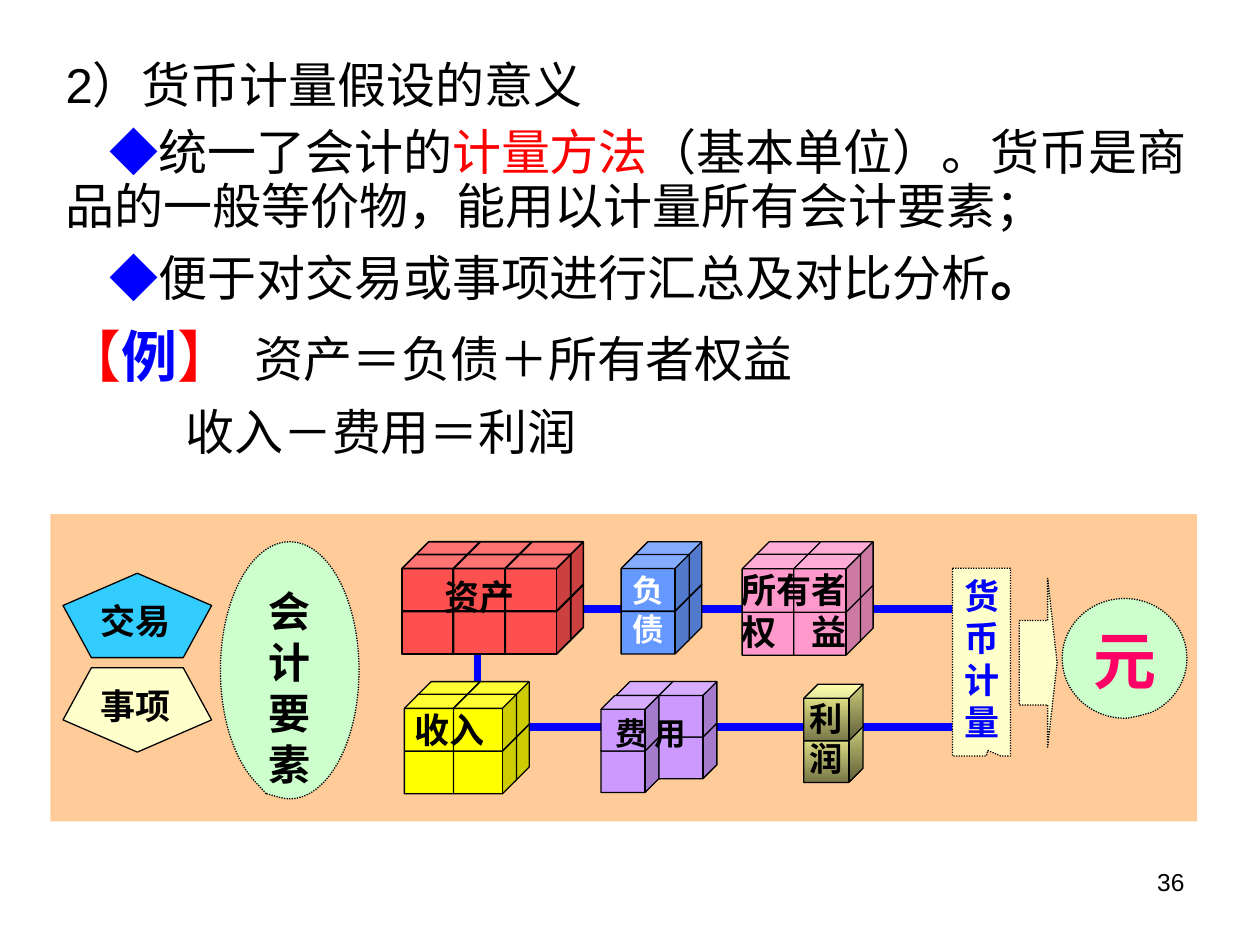
import pptx
import pptx.util
import pptx.dml.color
import pptx.enum.dml
import pptx.enum.shapes
import pptx.enum.text
import pptx.oxml.ns
import lxml.etree

Inches = pptx.util.Inches
Pt = pptx.util.Pt
RGBColor = pptx.dml.color.RGBColor
SHAPE = pptx.enum.shapes.MSO_SHAPE
ALIGN = pptx.enum.text.PP_ALIGN
qn = pptx.oxml.ns.qn

BLACK = RGBColor(0x00, 0x00, 0x00)
WHITE = RGBColor(0xFF, 0xFF, 0xFF)
BLUE = RGBColor(0x00, 0x00, 0xFF)
RED = RGBColor(0xFF, 0x00, 0x00)
MAGENTA = RGBColor(0xFF, 0x00, 0x66)
ORANGE = RGBColor(0xFF, 0xCC, 0x99)
CREAM = RGBColor(0xFF, 0xFF, 0xCC)
MINT = RGBColor(0xCC, 0xFF, 0xCC)
SKY = RGBColor(0x33, 0xCC, 0xFF)
CORAL = RGBColor(0xFF, 0x50, 0x50)
CORNFLOWER = RGBColor(0x66, 0x99, 0xFF)
PINK = RGBColor(0xFF, 0x99, 0xCC)
YELLOW = RGBColor(0xFF, 0xFF, 0x00)
PURPLE = RGBColor(0xCC, 0x99, 0xFF)
OLIVE = (RGBColor(0xFF, 0xFF, 0x99), RGBColor(0x76, 0x76, 0x47))


class SlideBuilder:
    """Holds the style and the current slide."""

    serif, sans, cjk = "Times New Roman", "Arial", "Noto Sans CJK SC"
    line_ratio = 1.2

    def __init__(self, slide):
        self.slide = slide

    def style_run(self, r, size, color, bold, font):
        r.font.size, r.font.bold, r.font.name = Pt(size), bold, font
        r.font.color.rgb = color
        lxml.etree.SubElement(r.font._element, qn("a:ea")).set("typeface", self.cjk)

    def frame(self, sp):
        tf = sp.text_frame
        tf.word_wrap = True
        tf.auto_size = pptx.enum.text.MSO_AUTO_SIZE.NONE
        tf.vertical_anchor = pptx.enum.text.MSO_ANCHOR.TOP
        return tf

    def fill_text(self, sp, text, size, color=BLACK, align=ALIGN.CENTER, bold=True, font=serif):
        tf = self.frame(sp)
        tf.text = text
        for p in tf.paragraphs:
            p.alignment = align
            p.line_spacing = Pt(round(size * self.line_ratio))
            for r in p.runs:
                self.style_run(r, size, color, bold, font)

    def body(self, sp, box, paragraphs):
        sp.left, sp.top, sp.width, sp.height = map(Inches, box)
        tf = self.frame(sp)
        for i, (before, pitch, indent, tab, runs) in enumerate(paragraphs):
            p = tf.paragraphs[0] if i == 0 else tf.add_paragraph()
            p.alignment = ALIGN.LEFT
            p.line_spacing, p.space_before = Pt(pitch), Pt(before)
            pPr = p._p.get_or_add_pPr()
            pPr.set("marL", "0")
            pPr.set("indent", str(Inches(indent)))
            lxml.etree.SubElement(pPr, qn("a:buNone"))
            if tab:
                tabs = lxml.etree.SubElement(pPr, qn("a:tabLst"))
                lxml.etree.SubElement(tabs, qn("a:tab"), pos=str(Inches(tab)), algn="l")
            for text, size, color, bold in runs:
                r = p.add_run()
                r.text = text
                self.style_run(r, size, color, bold, self.sans)

    def label(self, box, text, size, **style):
        self.fill_text(self.slide.shapes.add_textbox(*map(Inches, box)), text, size, **style)

    def shape(self, kind, box, fill, adj=(), line=0.75, dotted=False):
        sp = self.slide.shapes.add_shape(kind, *map(Inches, box))
        sp.shadow.inherit = False
        for i, value in enumerate(adj):
            sp.adjustments[i] = value
        if isinstance(fill, tuple) and len(fill) == 2:
            sp.fill.gradient()
            sp.fill.gradient_angle = 270
            for stop, color in zip(sp.fill.gradient_stops, fill):
                stop.color.rgb = color
        else:
            sp.fill.solid()
            sp.fill.fore_color.rgb = fill
        if line:
            sp.line.color.rgb, sp.line.width = BLACK, Pt(line)
        else:
            sp.line.fill.background()
        if dotted:
            sp.line.dash_style = pptx.enum.dml.MSO_LINE.ROUND_DOT
        return sp

    def cubes(self, x, y, w, h, fill, stacks, row=0.34, line=0.75):
        """Two cubes high at each (dx, dy), back stacks first."""
        for dx, dy in stacks:
            for rise in (row, 0):
                self.shape(SHAPE.CUBE, (x + dx, y + dy + rise, w, h), fill, (0.25,), line)

    def connector(self, x1, y1, x2, y2):
        ln = self.slide.shapes.add_connector(
            pptx.enum.shapes.MSO_CONNECTOR.STRAIGHT, *map(Inches, (x1, y1, x2, y2)))
        ln.line.color.rgb, ln.line.width = BLUE, Pt(4.5)
        lxml.etree.SubElement(ln._element.spPr, qn("a:effectLst"))


def columns(count, step):
    """A back and a front stack for each column."""
    return [(i * step + d, -d) for i in range(count) for d in (0.1, 0)]


def main():
    prs = pptx.Presentation()
    prs.slide_width, prs.slide_height = Inches(10), Inches(7.5)
    s = prs.slides.add_slide(prs.slide_layouts[0])
    title = s.shapes.title._element
    title.getparent().remove(title)
    b = SlideBuilder(s)

    # Body text: space before, line pitch, first-line indent, tab stop, runs
    diamond = ("◆", 28, BLUE, False)
    b.body(s.placeholders[1], (0.42, 0.42, 9.42, 2.26), [
        (0, 31, 0, None, [("2）货币计量假设的意义", 28, BLACK, False)]),
        (7, 31, 0.35, None, [
            diamond, ("统一了会计的", 28, BLACK, False), ("计量方法", 28, RED, False),
            ("（基本单位）。货币是商品的一般等价物，能用以计量所有会计要素；", 28, BLACK, False)]),
        (8, 34, 0.35, None, [
            diamond, ("便于对交易或事项进行汇总及对比分析", 28, BLACK, False),
            ("。", 32, BLACK, True)]),
        (7, 39, 0, 1.52, [
            ("【", 32, RED, False), ("例", 32, BLUE, True), ("】\t", 32, RED, False),
            ("资产＝负债＋所有者权益", 28, BLACK, False)]),
        (7, 34, 0.95, None, [("收入－费用＝利润", 28, BLACK, False)]),
    ])

    # Panel and connecting lines
    b.shape(SHAPE.RECTANGULAR_CALLOUT, (0.4, 4.08, 9.1, 2.44), ORANGE, (-0.08, 0.5), line=0)
    b.connector(3.79, 5.81, 3.79, 4.78)
    b.connector(3.77, 5.77, 7.86, 5.77)
    b.connector(3.77, 4.83, 7.94, 4.83)

    # Measurement in money
    sp = b.shape(SHAPE.RECTANGULAR_CALLOUT, (7.56, 4.51, 0.46, 1.49), CREAM,
                 (0.11, 0.47), dotted=True)
    b.fill_text(sp, "货币计量", 20, BLUE, ALIGN.LEFT)
    b.shape(SHAPE.RIGHT_ARROW, (8.09, 4.59, 0.3, 1.34), CREAM, (0.5, 0.25), dotted=True)
    sp = b.shape(SHAPE.OVAL_CALLOUT, (8.43, 4.75, 0.99, 0.95), MINT, (0.12, 0.48), dotted=True)
    b.fill_text(sp, "元", 36, MAGENTA)

    # Balance sheet elements
    b.cubes(3.19, 4.4, 0.52, 0.45, CORAL, columns(3, 0.41), line=1)
    b.label((3.33, 4.52, 0.96, 0.56), "资产", 20)
    b.cubes(4.93, 4.4, 0.54, 0.45, CORNFLOWER, columns(1, 0))
    b.label((4.92, 4.48, 0.39, 0.49), "负债", 18, color=WHITE)
    b.cubes(5.89, 4.4, 0.53, 0.46, PINK, columns(2, 0.41))
    b.label((5.76, 4.46, 1.09, 0.74), "所有者\n权　益", 20)

    # Income statement elements
    b.cubes(3.21, 5.51, 0.5, 0.45, YELLOW, columns(2, 0.39))
    b.label((3.19, 5.57, 0.87, 0.56), "收入", 20, align=ALIGN.LEFT)
    b.cubes(4.77, 5.52, 0.46, 0.44, PURPLE, [(0.12, -0.11), (0, 0), (0.46, -0.11)], row=0.33)
    b.label((4.76, 5.61, 0.81, 0.55), "费 用", 18)
    b.cubes(6.38, 5.43, 0.47, 0.45, OLIVE, [(0, 0)], row=0.33)
    b.label((6.33, 5.49, 0.45, 0.81), "利润", 19)

    # Accounting elements, transactions and events
    sp = b.shape(SHAPE.OVAL_CALLOUT, (1.75, 4.3, 1.1, 2.04), MINT, (-0.17, 0.48), dotted=True)
    b.fill_text(sp, "会计要素", 24)
    for sp_top, label_top, text, fill, flipped in (
            (5.3, 5.38, "事项", CREAM, True), (4.55, 4.71, "交易", SKY, False)):
        sp = b.shape(SHAPE.REGULAR_PENTAGON, (0.5, sp_top, 1.18, 0.67), fill)
        if flipped:
            sp._element.spPr.xfrm.set("flipV", "1")
        b.label((0.58, label_top, 1, 0.5), text, 20, font=b.sans)

    # Page number
    b.label((7.17, 6.83, 2.33, 0.52), "36", 14, align=ALIGN.RIGHT, bold=False, font=b.sans)

    prs.save("out.pptx")


if __name__ == "__main__":
    main()
